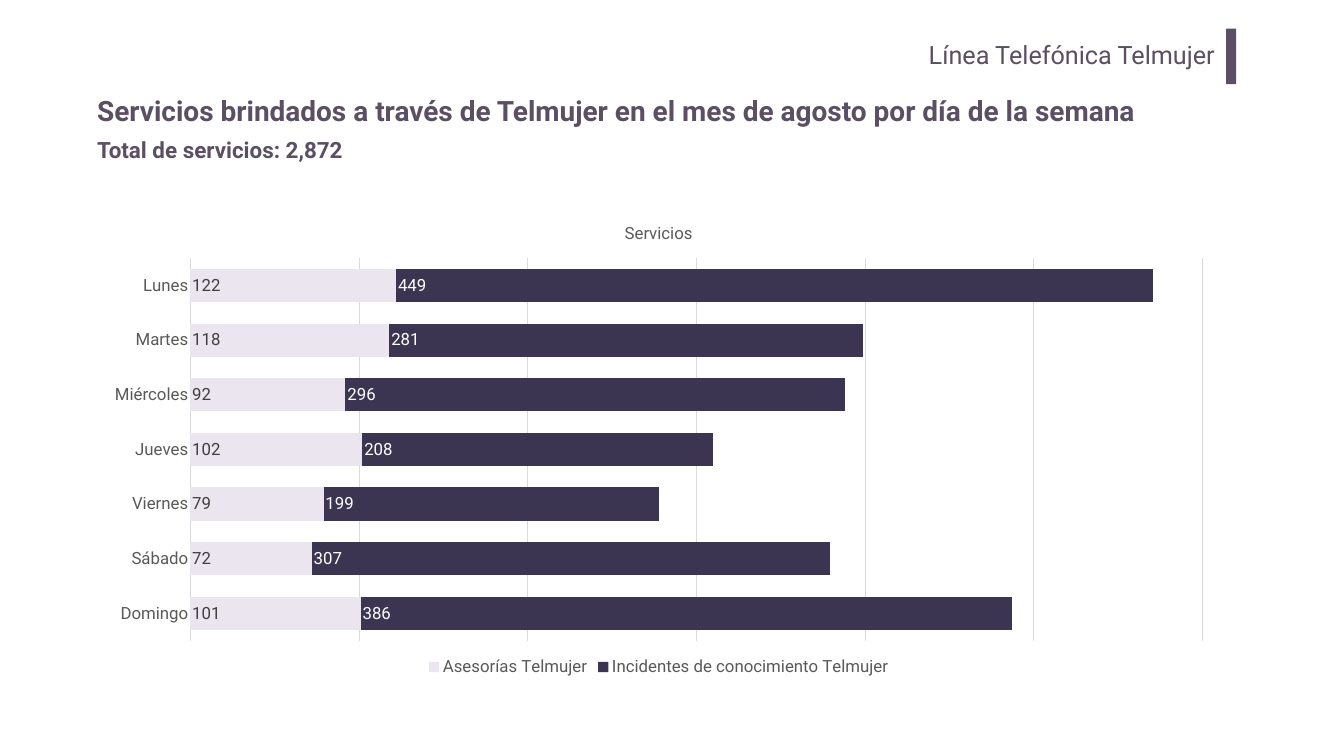
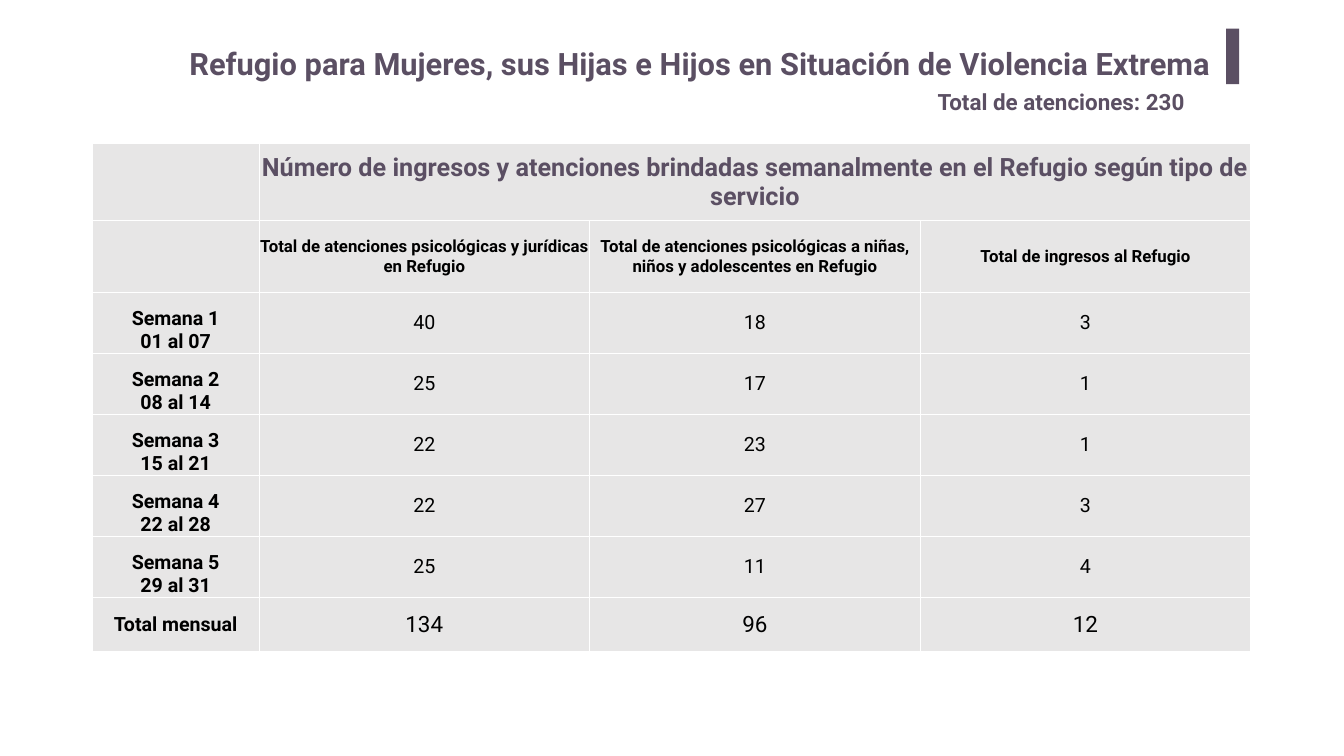
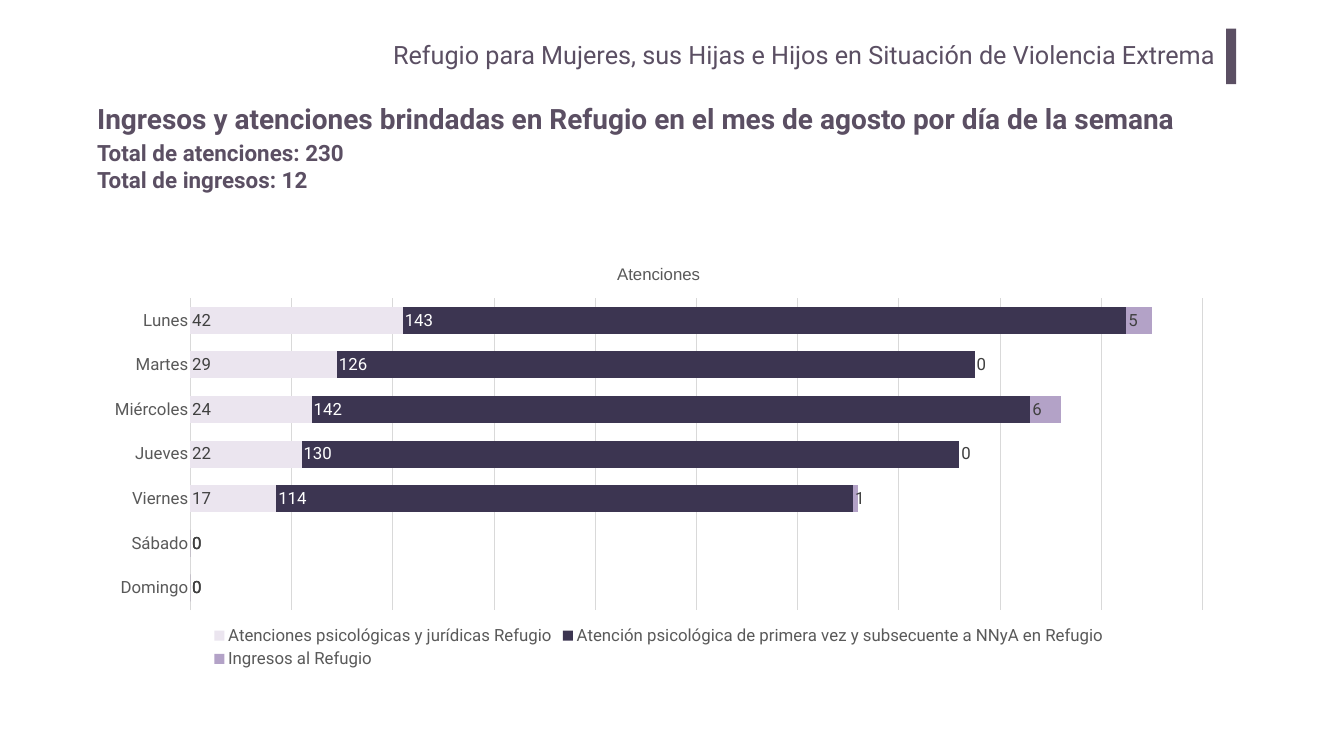
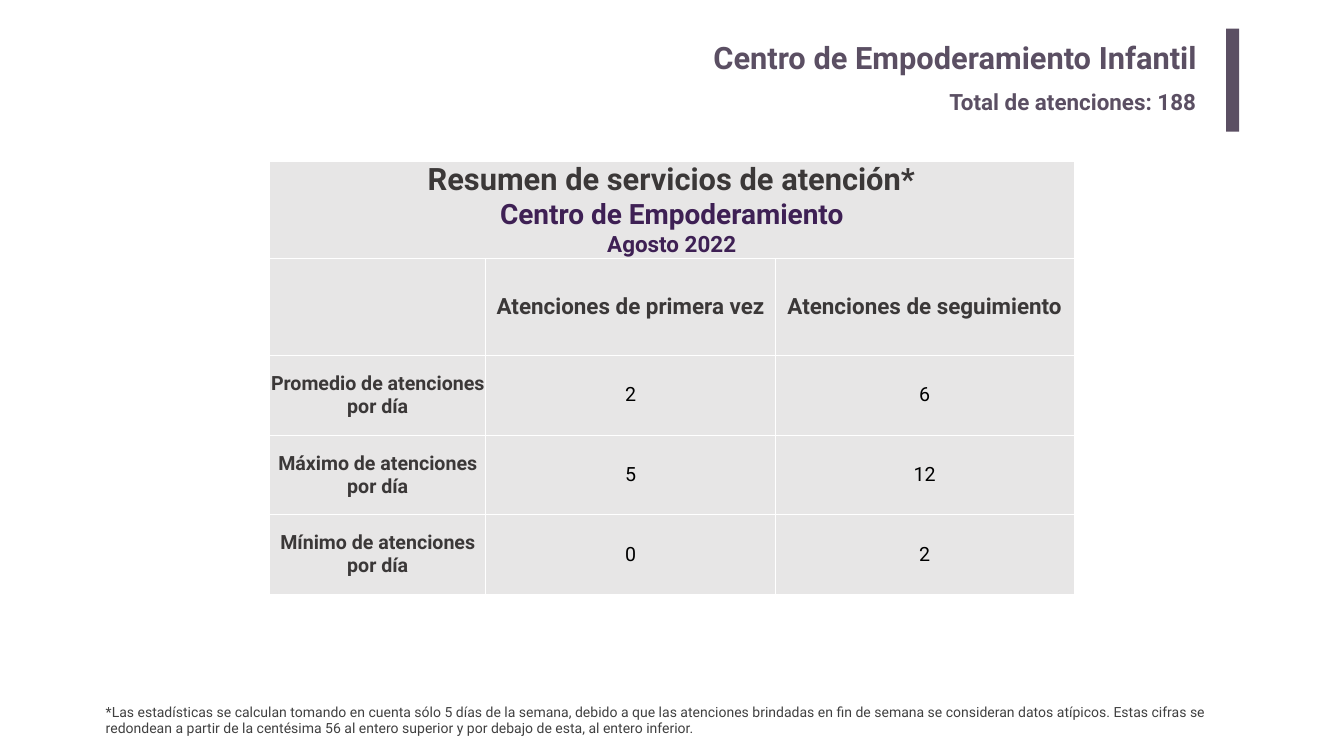
from itertools import cycle

from lxml import etree
from pptx import Presentation
from pptx.chart.data import CategoryChartData
from pptx.dml.color import RGBColor
from pptx.enum.chart import XL_CHART_TYPE, XL_LABEL_POSITION, XL_LEGEND_POSITION, XL_TICK_MARK
from pptx.enum.shapes import MSO_SHAPE
from pptx.enum.text import MSO_ANCHOR, PP_ALIGN
from pptx.oxml import parse_xml
from pptx.oxml.ns import nsdecls
from pptx.util import Pt

PX = 9144  # 100 px to the inch
COLORS = {
    "plum": "5B4F63", "violet": "3E2054", "black": "000000", "charcoal": "3B3838",
    "label": "404040", "axis": "595959", "grid": "D9D9D9", "cell": "E7E6E6",
    "white": "FFFFFF", "pale": "EBE5EF", "navy": "3C3551", "lilac": "B3A2C7",
}
RGB = {name: RGBColor.from_string(value) for name, value in COLORS.items()}
LEFT, RIGHT, CENTER, JUSTIFY = PP_ALIGN.LEFT, PP_ALIGN.RIGHT, PP_ALIGN.CENTER, PP_ALIGN.JUSTIFY


def style_font(font, size, color, bold=False, name="Roboto"):
    font.size, font.bold, font.name = Pt(size), bold, name
    font.color.rgb = RGB[color]


def write(frame, text, styles, bold, align):
    """Fill a text frame; styles holds one (size, color) per paragraph, repeated."""
    frame.word_wrap = True
    frame.text = text
    for para, (size, color) in zip(frame.paragraphs, cycle(styles)):
        para.alignment = align
        for span in para.runs:
            style_font(span.font, size, color, bold)


deck = Presentation()
deck.slide_width, deck.slide_height = 2667 * PX, 1500 * PX
pages = [deck.slides.add_slide(deck.slide_layouts[6]) for _ in range(4)]
telmujer, refugio_weeks, refugio_days, empowerment = pages

# Accent bar at the top right
for page, width, height in zip(pages, (20, 26, 20, 26), (110, 110, 110, 204)):
    bar = page.shapes.add_shape(MSO_SHAPE.RECTANGLE, 2433 * PX, 57 * PX, width * PX, height * PX)
    bar.shadow.inherit = False
    bar.fill.solid()
    bar.fill.fore_color.rgb = RGB["plum"]
    bar.line.fill.background()

# Section names, titles, totals and footnote
REFUGIO = "Refugio para Mujeres, sus Hijas e Hijos en Situación de Violencia Extrema"
FOOTNOTE = (
    "*Las estadísticas se calculan tomando en cuenta sólo 5 días de la semana, debido a que las "
    "atenciones brindadas en fin de semana se consideran datos atípicos. Estas cifras se redondean "
    "a partir de la centésima 56 al entero superior y por debajo de esta, al entero inferior."
)
KINDS = {  # size, color, bold, alignment, side inset, top inset
    "section": (36, "plum", False, RIGHT, 20, 10),
    "heading": (44, "plum", True, RIGHT, 20, 10),
    "wide heading": (44, "plum", True, LEFT, 10, 5),
    "title": (40, "plum", True, JUSTIFY, 10, 5),
    "total": (32, "plum", True, LEFT, 10, 5),
    "footnote": (20, "label", False, LEFT, 10, 5),
}
texts = [
    (telmujer, "section", (401, 67, 2030, 102), "Línea Telefónica Telmujer"),
    (telmujer, "title", (183, 151, 2185, 145),
     "Servicios brindados a través de Telmujer en el mes de agosto por día de la semana"),
    (telmujer, "total", (183, 265, 812, 64), "Total de servicios: 2,872"),
    (refugio_weeks, "total", (1851, 169, 551, 64), "Total de atenciones: 230"),
    (refugio_weeks, "wide heading", (366, 84, 2073, 84), REFUGIO),
    (refugio_days, "title", (183, 166, 2185, 145),
     "Ingresos y atenciones brindadas en Refugio en el mes de agosto por día de la semana"),
    (refugio_days, "section", (401, 67, 2030, 102), REFUGIO),
    (refugio_days, "total", (183, 272, 564, 118),
     "Total de atenciones: 230\nTotal de ingresos: 12"),
    (empowerment, "heading", (366, 67, 2030, 102), "Centro de Empoderamiento Infantil"),
    (empowerment, "total", (1874, 169, 528, 64), "Total de atenciones: 188"),
    (empowerment, "footnote", (200, 1390, 2233, 77), FOOTNOTE),
]
for page, kind, place, text in texts:
    size, color, bold, align, side, top = KINDS[kind]
    box = page.shapes.add_textbox(*(length * PX for length in place))
    frame = box.text_frame
    frame.margin_left = frame.margin_right = side * PX
    frame.margin_top = frame.margin_bottom = top * PX
    write(frame, text, [(size, color)], bold, align)
    if kind == "title":
        frame.vertical_anchor = MSO_ANCHOR.MIDDLE
        frame.paragraphs[0].line_spacing = 0.9

# Stacked bar charts by day of the week
DAYS = ["Domingo", "Sábado", "Viernes", "Jueves", "Miércoles", "Martes", "Lunes"]
charts = [
    (telmujer, (183, 410, 2248, 940), "Servicios", "Roboto", 600, 100, [
        ("Asesorías Telmujer", (101, 72, 79, 102, 92, 118, 122)),
        ("Incidentes de conocimiento Telmujer", (386, 307, 199, 208, 296, 281, 449)),
    ]),
    (refugio_days, (183, 495, 2248, 839), "Atenciones", "Arial", 200, 20, [
        ("Atenciones psicológicas y jurídicas Refugio", (0, 0, 17, 22, 24, 29, 42)),
        ("Atención psicológica de primera vez y subsecuente a NNyA en Refugio",
         (0, 0, 114, 130, 142, 126, 143)),
        ("Ingresos al Refugio", (0, 0, 1, 0, 6, 0, 5)),
    ]),
]
for page, place, title, title_font, maximum, step, rows in charts:
    data = CategoryChartData()
    data.categories = DAYS
    for name, values in rows:
        data.add_series(name, values)
    chart = page.shapes.add_chart(
        XL_CHART_TYPE.BAR_STACKED, *(length * PX for length in place), data).chart
    style_font(chart.font, 10, "black", name="Arial")

    chart.has_title = True
    chart.chart_title.include_in_layout = False
    chart.chart_title.text_frame.text = title
    title_run = chart.chart_title.text_frame.paragraphs[0].runs[0]
    style_font(title_run.font, 24, "axis", name=title_font)

    chart.has_legend = True
    chart.legend.position = XL_LEGEND_POSITION.BOTTOM
    chart.legend.include_in_layout = False
    style_font(chart.legend.font, 24, "axis")

    days = chart.category_axis
    days.major_tick_mark = days.minor_tick_mark = XL_TICK_MARK.NONE
    style_font(days.tick_labels.font, 24, "axis")
    scale = chart.value_axis
    scale.visible = False
    scale.minimum_scale, scale.maximum_scale, scale.major_unit = 0, maximum, step
    scale.has_major_gridlines = True
    for line in (days.format.line, scale.major_gridlines.format.line):
        line.color.rgb = RGB["grid"]
        line.width = Pt(0.75)

    plot = chart.plots[0]
    plot.gap_width, plot.overlap, plot.vary_by_categories = 65, 100, False
    for series, color in zip(plot.series, ("pale", "navy", "lilac")):
        series.format.fill.solid()
        series.format.fill.fore_color.rgb = RGB[color]
        labels = series.data_labels
        labels.show_value = True
        labels.position = XL_LABEL_POSITION.INSIDE_BASE
        style_font(labels.font, 24, "label")
        if color == "navy":  # white figures wherever there is a dark bar behind
            for index, value in enumerate(series.values):
                if value:
                    label = series.points[index].data_label
                    style_font(label.font, 24, "white")
                    label.position = XL_LABEL_POSITION.INSIDE_BASE

# Tables
week_rows = [
    ("01 al 07", 40, 18, 3), ("08 al 14", 25, 17, 1), ("15 al 21", 22, 23, 1),
    ("22 al 28", 22, 27, 3), ("29 al 31", 25, 11, 4),
]
week_cells = [
    ("", "Número de ingresos y atenciones brindadas semanalmente en el Refugio "
         "según tipo de servicio", "", ""),
    ("", "Total de atenciones psicológicas y jurídicas en Refugio",
     "Total de atenciones psicológicas a niñas, niños y adolescentes en Refugio",
     "Total de ingresos al Refugio"),
    *((f"Semana {number}\v{dates}", *counts)
      for number, (dates, *counts) in enumerate(week_rows, 1)),
    ("Total mensual", 134, 96, 12),
]
summary_cells = [
    ("Resumen de servicios de atención*\nCentro de Empoderamiento\nAgosto 2022", "", ""),
    ("", "Atenciones de primera vez", "Atenciones de seguimiento"),
    ("Promedio de atenciones por día", 2, 6),
    ("Máximo de atenciones por día", 5, 12),
    ("Mínimo de atenciones por día", 0, 2),
]
tables = [  # page, corner, columns, rows, inset, first merged column, heading styles, ...
    (refugio_weeks, (183, 284), (331, 656, 656, 656), (154, 142, *[121] * 5, 107), 1, 1,
     [(36, "plum")], (24, "black"), 32, week_cells),
    (empowerment, (535, 320), (429, 575, 592), (192, 192, 158, 158, 158), 0, 0,
     [(44, "charcoal"), (40, "violet"), (32, "violet")], (32, "charcoal"), 28, summary_cells),
]
for page, (left, top), widths, heights, inset, merge_from, heading, header, last_size, cells in tables:
    table = page.shapes.add_table(
        len(heights), len(widths), left * PX, top * PX, sum(widths) * PX, sum(heights) * PX).table
    table.horz_banding = table.first_row = False
    for column, width in zip(table.columns, widths):
        column.width = width * PX
    for row, height in zip(table.rows, heights):
        row.height = height * PX
    table.cell(0, merge_from).merge(table.cell(0, len(widths) - 1))

    for r, values in enumerate(cells):
        for c, value in enumerate(values):
            cell = table.cell(r, c)
            cell.margin_left = cell.margin_right = cell.margin_top = inset * PX
            cell.margin_bottom = 0
            is_week = str(value).startswith("Semana")
            cell.vertical_anchor = MSO_ANCHOR.BOTTOM if is_week else MSO_ANCHOR.MIDDLE
            cell.fill.solid()
            cell.fill.fore_color.rgb = RGB["cell"]
            properties = cell._tc.get_or_add_tcPr()
            for position, side in enumerate("LRTB"):
                border = parse_xml(f'<a:ln{side} {nsdecls("a")} w="12700"/>')
                fill = etree.SubElement(border, border.tag.replace(f"ln{side}", "solidFill"))
                etree.SubElement(fill, fill.tag.replace("solidFill", "srgbClr"), val=COLORS["white"])
                properties.insert(position, border)
            if value == "":
                continue
            if r == 0:
                styles = heading
            elif r == 1:
                styles = [header]
            elif c == 0:
                styles = [(28, header[1])]
            else:
                styles = [(last_size if r == len(cells) - 1 else 28, "black")]
            write(cell.text_frame, str(value), styles, r < 2 or c == 0, CENTER)

deck.save("out.pptx")
